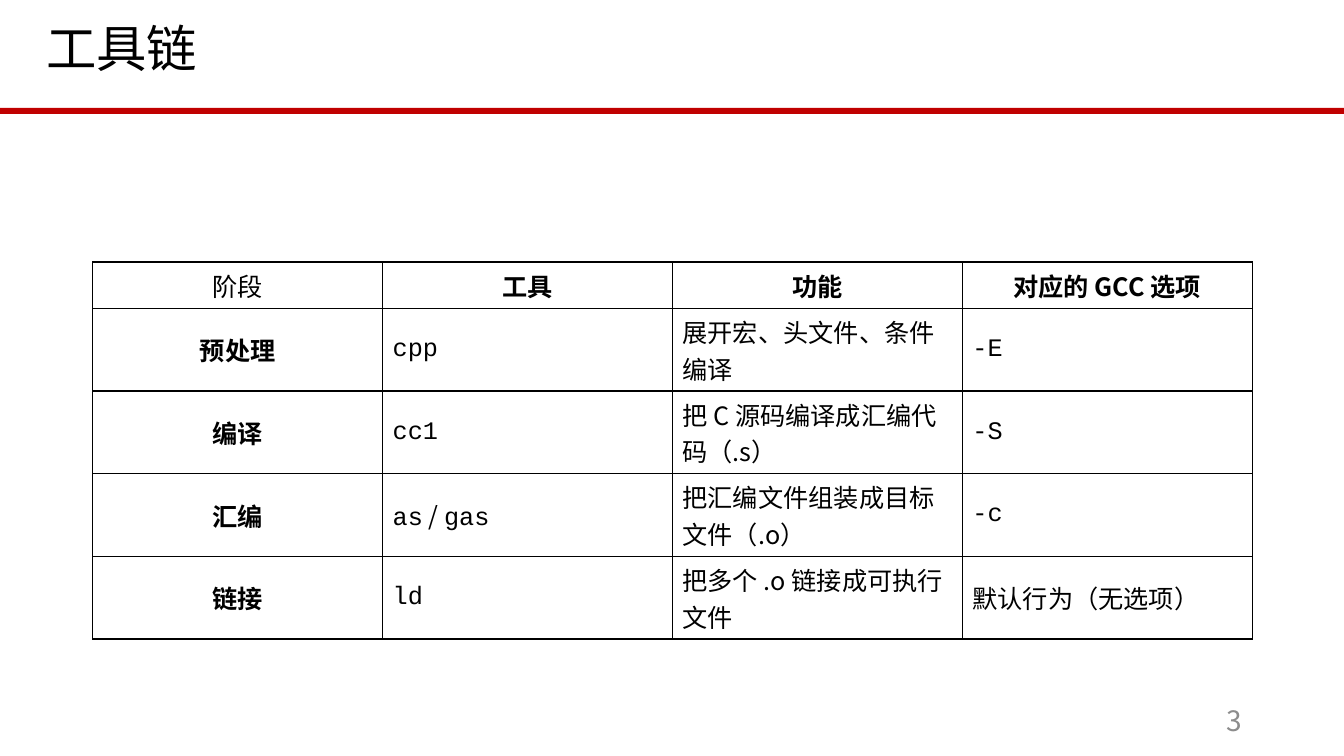
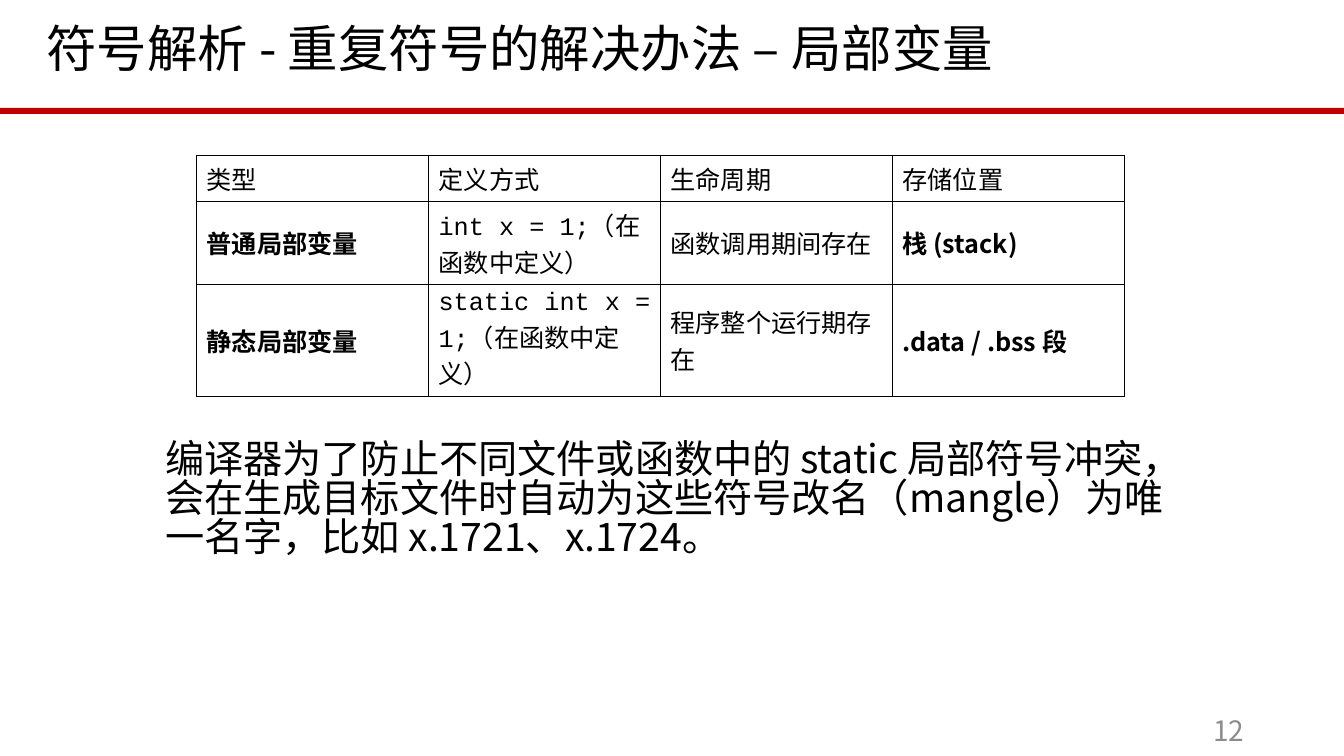
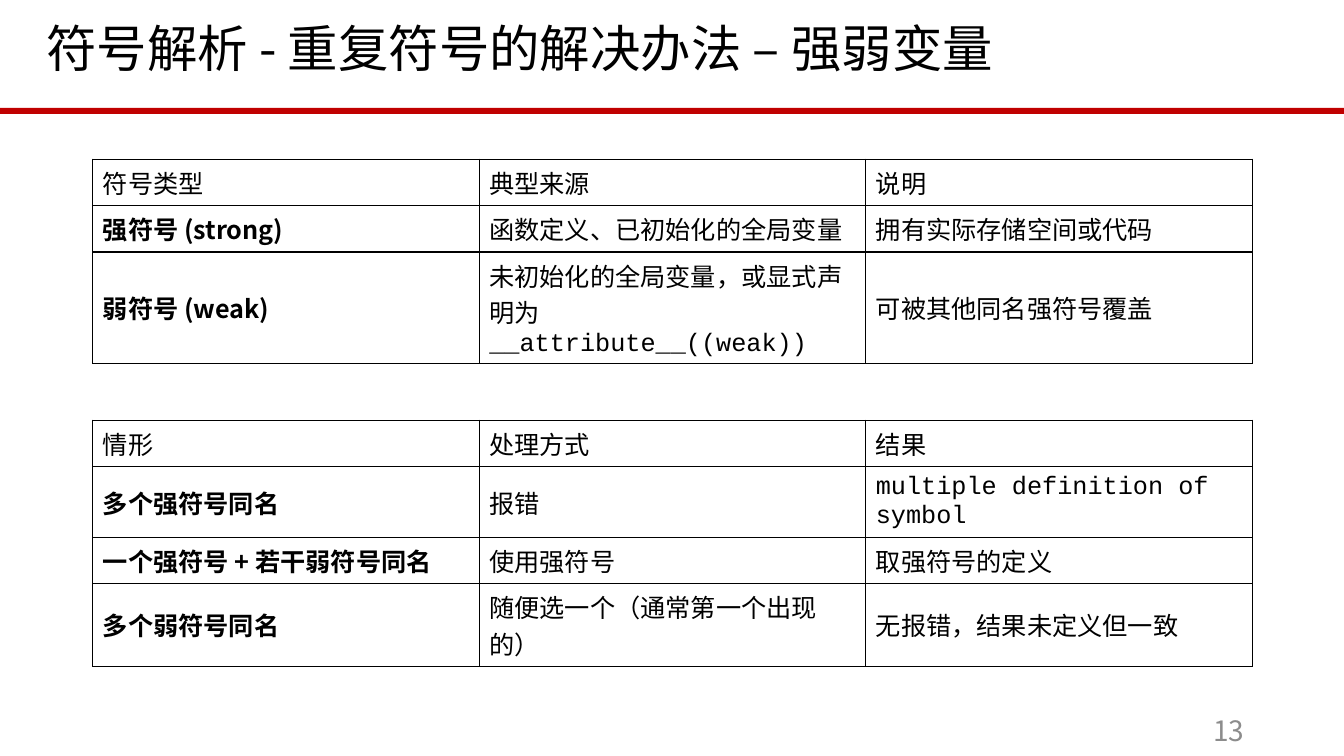
from lxml.etree import SubElement
from pptx import Presentation
from pptx.dml.color import RGBColor
from pptx.enum.shapes import MSO_SHAPE
from pptx.enum.text import MSO_ANCHOR, PP_ALIGN
from pptx.oxml.ns import qn
from pptx.util import Inches, Pt


def color(value):
    return RGBColor.from_string(value)


class Slides:
    FONT = "Noto Sans CJK SC"
    CODE_FONT = "Courier New"
    BLACK = "000000"
    WHITE = "FFFFFF"
    GRAY = "8C8C8C"
    RED = "C00000"
    CODE_MARK = "`"
    BOLD_MARK = "*"

    def __init__(self):
        self.deck = Presentation()
        self.deck.slide_width = Inches(13.33)
        self.deck.slide_height = Inches(7.5)
        self.page = None

    def start(self, title, number, title_width=10.88, number_at=(9.44, 7.05)):
        self.page = self.deck.slides.add_slide(self.deck.slide_layouts[6])
        band = self.page.shapes.add_shape(
            MSO_SHAPE.RECTANGLE, 0, Inches(1.07), self.deck.slide_width, Inches(0.06))
        band.shadow.inherit = False
        band.fill.solid()
        band.fill.fore_color.rgb = color(self.RED)
        band.line.fill.background()
        self.text(title, 0.36, 0.19, title_width, 0.76, 36, spacing=0.9)
        self.text(number, *number_at, 3, 0.4, 20, self.GRAY,
                  align=PP_ALIGN.RIGHT, anchor=MSO_ANCHOR.MIDDLE)

    def style(self, span, size, ink, bold=False, code=False):
        font = span.font
        font.size = Pt(size)
        font.bold = bold
        font.color.rgb = color(ink)
        font.name = self.CODE_FONT if code else self.FONT
        SubElement(font._element, qn("a:ea")).set("typeface", self.FONT)

    def text(self, words, left, top, width, height, size, ink=BLACK,
             align=PP_ALIGN.LEFT, anchor=MSO_ANCHOR.TOP, spacing=1.0):
        box = self.page.shapes.add_textbox(
            Inches(left), Inches(top), Inches(width), Inches(height))
        frame = box.text_frame
        frame.word_wrap = True
        frame.vertical_anchor = anchor
        frame.text = words
        para = frame.paragraphs[0]
        para.alignment = align
        para.line_spacing = spacing
        self.style(para.runs[0], size, ink)

    def table(self, left, top, width, heights, rows, centred=False):
        columns = len(rows[0])
        table = self.page.shapes.add_table(
            len(rows), columns, Inches(left), Inches(top),
            Inches(width), Inches(sum(heights))).table
        table.first_row = False
        table.horz_banding = False
        for column in table.columns:
            column.width = Inches(width / columns)
        for i, (height, row) in enumerate(zip(heights, rows)):
            table.rows[i].height = Inches(height)
            for j, words in enumerate(row):
                self.cell(table.cell(i, j), words, centred and 0 in (i, j))

    def cell(self, cell, words, centred):
        properties = cell._tc.get_or_add_tcPr()
        for side in ("a:lnL", "a:lnR", "a:lnT", "a:lnB"):
            line = SubElement(properties, qn(side), w=str(Pt(1)))
            fill = SubElement(line, qn("a:solidFill"))
            SubElement(fill, qn("a:srgbClr"), val=self.BLACK)
        cell.fill.solid()
        cell.fill.fore_color.rgb = color(self.WHITE)
        cell.vertical_anchor = MSO_ANCHOR.MIDDLE
        para = cell.text_frame.paragraphs[0]
        para.alignment = PP_ALIGN.CENTER if centred else PP_ALIGN.LEFT
        bold = words.startswith(self.BOLD_MARK)
        for k, part in enumerate(words.lstrip(self.BOLD_MARK).split(self.CODE_MARK)):
            if part:
                span = para.add_run()
                span.text = part
                self.style(span, 18, self.BLACK, bold, k % 2 == 1)


def main():
    slides = Slides()
    one_line, two_lines, three_lines, two_code_lines = 0.46, 0.82, 1.11, 0.66

    slides.start("工具链", "3", 8.8, (9.42, 6.95))
    slides.table(0.92, 2.6, 11.5, [one_line] + [two_lines] * 4, [
        ["阶段", "*工具", "*功能", "*对应的 GCC 选项"],
        ["*预处理", "`cpp`", "展开宏、头文件、条件编译", "`-E`"],
        ["*编译", "`cc1`", "把 C 源码编译成汇编代码（.s）", "`-S`"],
        ["*汇编", "`as` / `gas`", "把汇编文件组装成目标文件（.o）", "`-c`"],
        ["*链接", "`ld`", "把多个 .o 链接成可执行文件", "默认行为（无选项）"],
    ], centred=True)

    slides.start("符号解析 - 重复符号的解决办法 – 局部变量", "12")
    slides.table(1.95, 1.54, 9.2, [one_line, two_lines, three_lines], [
        ["类型", "定义方式", "生命周期", "存储位置"],
        ["*普通局部变量", "`int x = 1;`（在函数中定义）", "函数调用期间存在", "*栈 (stack)"],
        ["*静态局部变量", "`static int x = 1;`（在函数中定义）", "程序整个运行期存在",
         "*.data / .bss 段"],
    ])
    slides.text("编译器为了防止不同文件或函数中的 static 局部符号冲突，"
                "会在生成目标文件时自动为这些符号改名（mangle）为唯一名字，"
                "比如 x.1721、x.1724。", 1.54, 4.34, 10.25, 1.51, 28, spacing=0.83)

    slides.start("符号解析 - 重复符号的解决办法 – 强弱变量", "13")
    slides.table(0.92, 1.58, 11.5, [one_line, one_line, three_lines], [
        ["符号类型", "典型来源", "说明"],
        ["*强符号 (strong)", "函数定义、已初始化的全局变量", "拥有实际存储空间或代码"],
        ["*弱符号 (weak)", "未初始化的全局变量，或显式声明为 `__attribute__((weak))`",
         "可被其他同名强符号覆盖"],
    ])
    slides.table(0.92, 4.17, 11.5, [one_line, two_code_lines, one_line, two_lines], [
        ["情形", "处理方式", "结果"],
        ["*多个强符号同名", "报错", "`multiple definition of symbol`"],
        ["*一个强符号 + 若干弱符号同名", "使用强符号", "取强符号的定义"],
        ["*多个弱符号同名", "随便选一个（通常第一个出现的）", "无报错，结果未定义但一致"],
    ])

    slides.deck.save("out.pptx")


if __name__ == "__main__":
    main()
